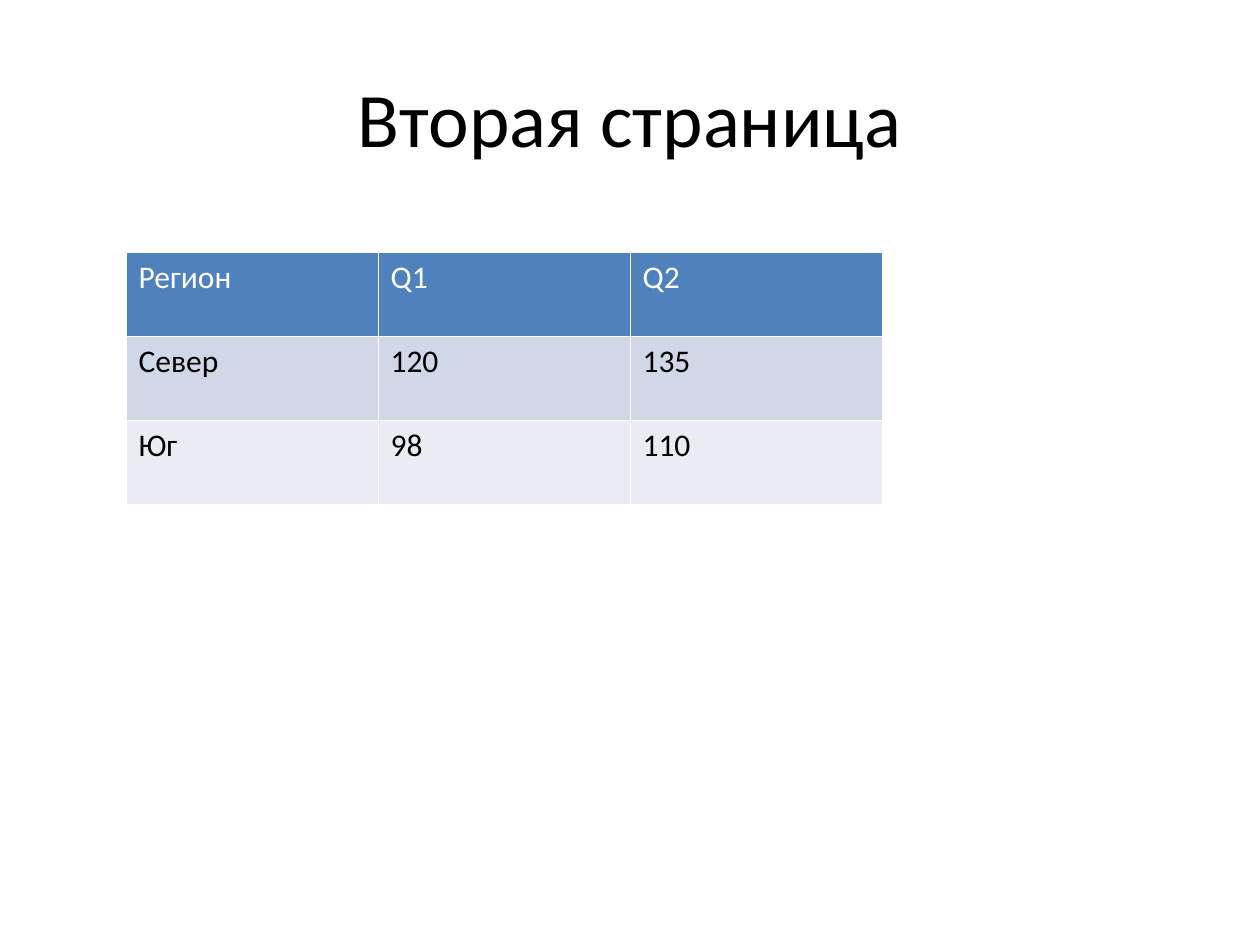
from lxml.etree import SubElement
from pptx import Presentation
from pptx.dml.color import RGBColor
from pptx.enum.text import MSO_ANCHOR, PP_ALIGN
from pptx.oxml.ns import qn
from pptx.util import Cm, Pt

BLACK = RGBColor(0x00, 0x00, 0x00)
WHITE = RGBColor(0xFF, 0xFF, 0xFF)
HEADER_BLUE = RGBColor(0x4F, 0x81, 0xBD)
BAND_DARK = RGBColor(0xD0, 0xD8, 0xE7)
BAND_LIGHT = RGBColor(0xE9, 0xEC, 0xF3)

TITLE_FORMAT = {"name": "Calibri", "size": Pt(44)}
CELL_FORMAT = {"name": "Calibri", "size": Pt(18), "bold": False}
BORDER_WIDTH = Pt(0.45)

SALES = [
    ("Регион", "Q1", "Q2"),
    ("Север", "120", "135"),
    ("Юг", "98", "110"),
]
ROW_COLORS = [(HEADER_BLUE, WHITE), (BAND_DARK, BLACK), (BAND_LIGHT, BLACK)]


def write_text(paragraph, text, font_format, color):
    run = paragraph.add_run()
    run.text = text
    for attribute, value in font_format.items():
        setattr(run.font, attribute, value)
    run.font.color.rgb = color


def add_title(slide, text):
    title = slide.shapes.add_textbox(Cm(1.27), Cm(0.76), Cm(22.86), Cm(3.18))
    frame = title.text_frame
    frame.word_wrap = True
    frame.vertical_anchor = MSO_ANCHOR.MIDDLE
    heading = frame.paragraphs[0]
    heading.alignment = PP_ALIGN.CENTER
    write_text(heading, text, TITLE_FORMAT, BLACK)


def set_borders(cell, color):
    properties = cell._tc.get_or_add_tcPr()
    for position, side in enumerate(("lnL", "lnR", "lnT", "lnB")):
        border = SubElement(properties, qn(f"a:{side}"), w=str(BORDER_WIDTH))
        fill = SubElement(border, qn("a:solidFill"))
        SubElement(fill, qn("a:srgbClr"), val=str(color))
        # Borders must precede the cell fill in the schema order.
        properties.insert(position, border)


def add_sales_table(slide):
    table = slide.shapes.add_table(
        len(SALES), len(SALES[0]), Cm(2.54), Cm(5.08), Cm(15.24), Cm(5.08)
    ).table
    for row, values, (fill, text_color) in zip(table.rows, SALES, ROW_COLORS):
        for cell, value in zip(row.cells, values):
            cell.fill.solid()
            cell.fill.fore_color.rgb = fill
            write_text(cell.text_frame.paragraphs[0], value, CELL_FORMAT, text_color)
            set_borders(cell, WHITE)


def main():
    presentation = Presentation()
    presentation.slide_width = Cm(25.4)
    presentation.slide_height = Cm(19.05)
    slide = presentation.slides.add_slide(presentation.slide_layouts[6])
    add_title(slide, "Вторая страница")
    add_sales_table(slide)
    presentation.save("out.pptx")


if __name__ == "__main__":
    main()
